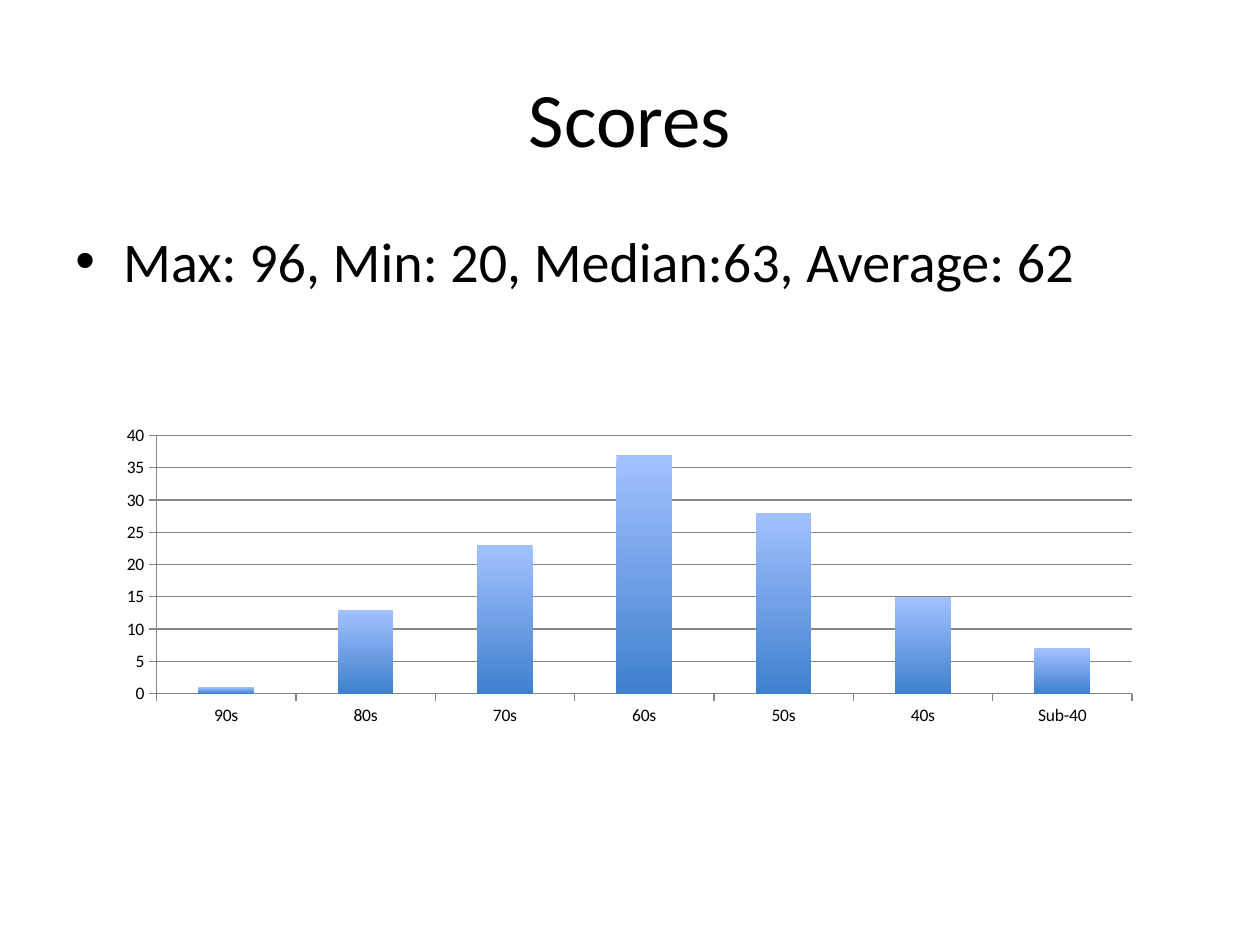
from lxml import etree
from pptx import Presentation, util as u
from pptx.chart import data as chart_data
from pptx.dml import color
from pptx.enum import chart as charts, text
from pptx.oxml import ns

COLORS = {"ink": "000000", "axis": "868686", "bar_top": "A3C1FF", "bar_bottom": "3F80CD"}
SCORES = {"90s": 1, "80s": 13, "70s": 23, "60s": 37, "50s": 28, "40s": 15, "Sub-40": 7}


def rgb(name):
    return color.RGBColor.from_string(COLORS[name])


def style_font(font, size, ink="ink", name="Calibri"):
    font.name = name
    font.size = u.Pt(size)
    font.color.rgb = rgb(ink)


def write_text(frame, content, size=32, align=text.PP_ALIGN.LEFT,
               anchor=text.MSO_ANCHOR.TOP, bullet=None, indent=0.38):
    frame.word_wrap = True
    frame.vertical_anchor = anchor
    paragraph = frame.paragraphs[0]
    paragraph.alignment = align
    run = paragraph.add_run()
    run.text = content
    style_font(run.font, size)
    if bullet:
        paragraph.space_before = u.Pt(size * 0.2)
        properties = paragraph._p.get_or_add_pPr()
        properties.set("marL", str(u.Inches(indent)))
        properties.set("indent", str(-u.Inches(indent)))
        etree.SubElement(properties, ns.qn("a:buFont")).set("typeface", "Arial")
        etree.SubElement(properties, ns.qn("a:buChar")).set("char", bullet)


class Deck:
    def __init__(self, width, height):
        self.presentation = Presentation()
        self.presentation.slide_width = u.Inches(width)
        self.presentation.slide_height = u.Inches(height)
        self.slide = None

    def add_slide(self):
        self.slide = self.presentation.slides.add_slide(self.presentation.slide_layouts[5])

    def title(self, content, box):
        shape = self.slide.shapes.title
        shape.left, shape.top, shape.width, shape.height = map(u.Inches, box)
        write_text(shape.text_frame, content, size=44, align=text.PP_ALIGN.CENTER,
                   anchor=text.MSO_ANCHOR.MIDDLE)

    def bullet(self, content, box):
        shape = self.slide.shapes.add_textbox(*map(u.Inches, box))
        write_text(shape.text_frame, content, bullet="•")

    def column_chart(self, name, values, box, maximum, step):
        data = chart_data.CategoryChartData()
        data.categories = list(values)
        data.add_series(name, list(values.values()))
        chart = self.slide.shapes.add_chart(
            charts.XL_CHART_TYPE.COLUMN_CLUSTERED, *map(u.Inches, box), data).chart
        chart.has_title = False
        chart.has_legend = False
        style_font(chart.font, 10)
        plot = chart.plots[0]
        plot.vary_by_categories = False
        plot.gap_width = 150
        fill = plot.series[0].format.fill
        fill.gradient()
        fill.gradient_angle = 270
        for stop, shade in zip(fill.gradient_stops, ("bar_top", "bar_bottom")):
            stop.color.rgb = rgb(shade)
        value_axis = chart.value_axis
        value_axis.minimum_scale = 0
        value_axis.maximum_scale = maximum
        value_axis.major_unit = step
        value_axis.has_major_gridlines = True
        for axis in (chart.category_axis, value_axis):
            axis.major_tick_mark = charts.XL_TICK_MARK.OUTSIDE
            axis.minor_tick_mark = charts.XL_TICK_MARK.NONE
        for part in (chart.category_axis, value_axis, value_axis.major_gridlines):
            part.format.line.color.rgb = rgb("axis")
            part.format.line.width = u.Pt(0.75)

    def save(self):
        self.presentation.save("out.pptx")


deck = Deck(10, 7.5)
deck.add_slide()
deck.title("Scores", (0.5, 0.3, 9, 1.25))
deck.bullet("Max: 96, Min: 20, Median:63, Average: 62", (0.5, 1.75, 9, 4.95))
deck.column_chart("Series 1", SCORES, (0.84, 3.33, 8.31, 2.48), maximum=40, step=5)
deck.save()
